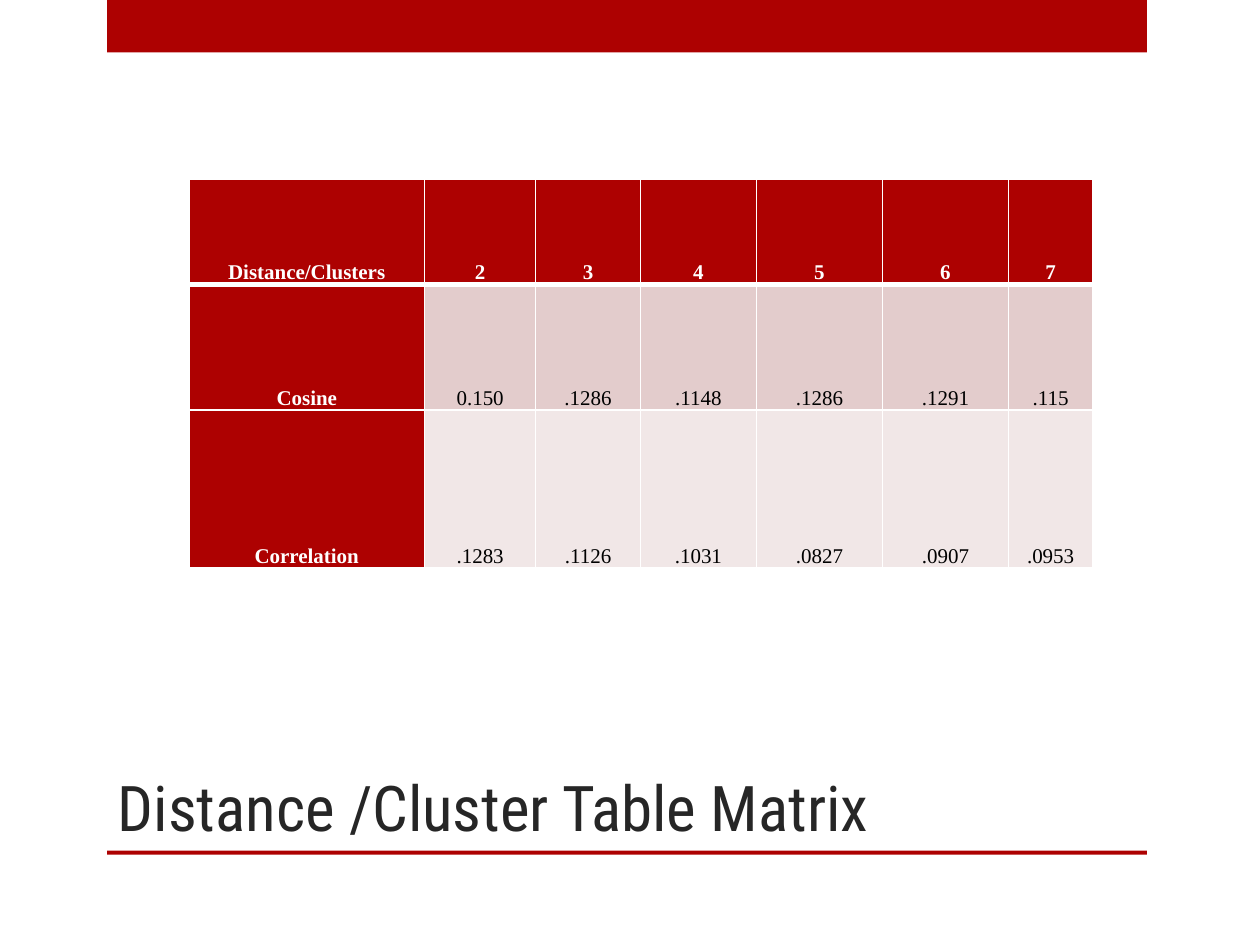
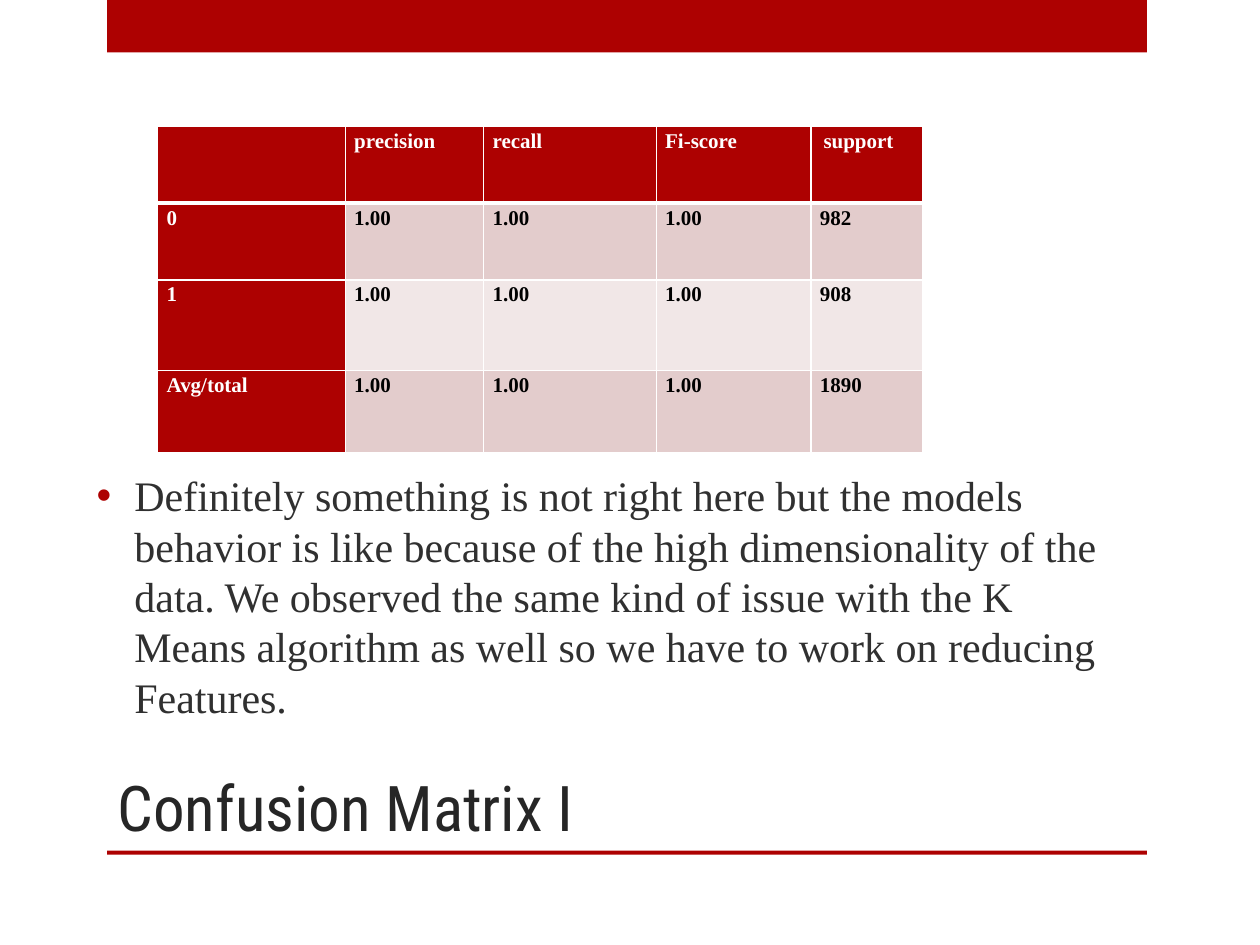
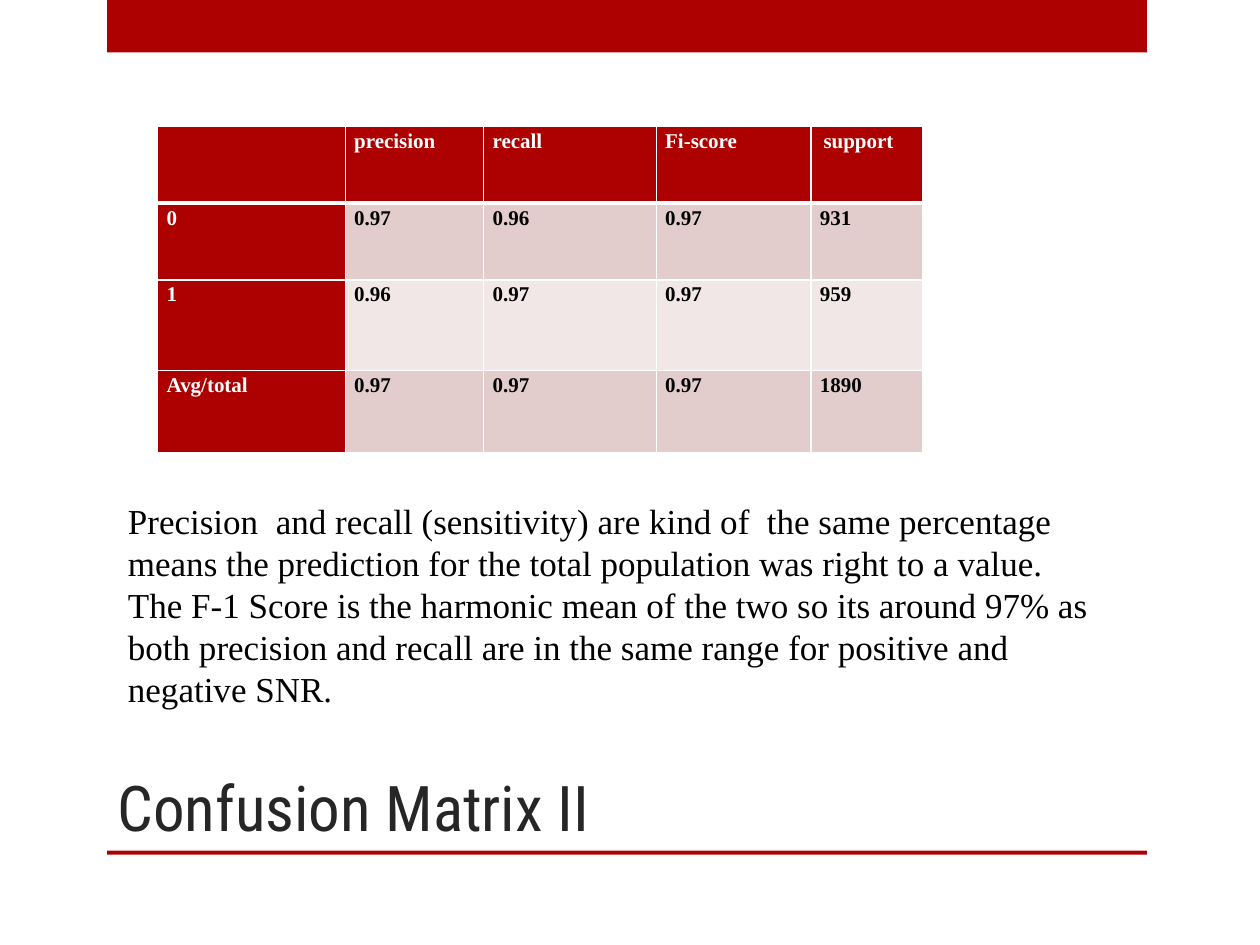
"""Builds three slides on cluster distances and confusion matrices."""
from lxml.etree import SubElement
from pptx import Presentation
from pptx.dml.color import RGBColor
from pptx.enum.shapes import MSO_SHAPE
from pptx.enum.text import MSO_ANCHOR as ANCHOR, MSO_AUTO_SIZE as AUTO, PP_ALIGN as ALIGN
from pptx.oxml import parse_xml
from pptx.oxml.ns import nsdecls, qn
from pptx.util import Cm, Pt

RED = RGBColor(0xAD, 0x01, 0x01)
PINK = RGBColor(0xE3, 0xCC, 0xCC)
PALE = RGBColor(0xF1, 0xE7, 0xE7)
WHITE = RGBColor(0xFF, 0xFF, 0xFF)
BLACK = RGBColor(0x00, 0x00, 0x00)
TITLE_GREY = RGBColor(0x26, 0x26, 0x26)
BODY_GREY = RGBColor(0x30, 0x30, 0x30)
TITLE_FONT = "Roboto Condensed"
BODY_FONT = "Times New Roman"

SCORE_HEADER = ["", "precision", "recall", "Fi-score", [(" ", 8), ("support", 12)]]
SCORE_COLS = [3.78, 2.79, 3.48, 3.12, 2.26]
SCORE_ROWS = [1.55, 1.55, 1.83, 1.65]


class Deck:
    def __init__(self):
        self.prs = Presentation()
        self.prs.slide_width, self.prs.slide_height = Cm(25.4), Cm(19.05)
        self.s = None

    def slide(self, title):
        self.s = self.prs.slides.add_slide(self.prs.slide_layouts[5])
        self.band(0, 1.06)
        self.band(17.15, 0.08)
        sp = self.s.shapes.title
        sp.left, sp.top, sp.width, sp.height = Cm(2.12), Cm(12.7), Cm(18.85), Cm(4.45)
        tf = sp.text_frame
        tf.auto_size, tf.vertical_anchor = AUTO.NONE, ANCHOR.BOTTOM
        p = tf.paragraphs[0]
        p.alignment = ALIGN.LEFT
        self.run(p, title, 36, TITLE_GREY, font=TITLE_FONT)

    def band(self, top, height):
        sp = self.s.shapes.add_shape(MSO_SHAPE.RECTANGLE, Cm(2.16), Cm(top), Cm(20.96), Cm(height))
        sp.shadow.inherit = False
        sp.fill.solid()
        sp.fill.fore_color.rgb = RED
        sp.line.fill.background()

    def run(self, p, text, size, color, bold=False, font=BODY_FONT):
        r = p.add_run()
        r.text = text
        r.font.name, r.font.size, r.font.bold = font, Pt(size), bold
        r.font.color.rgb = color

    def text(self, box, paragraphs, size, color, anchor=ANCHOR.TOP, bullet=False):
        tf = self.s.shapes.add_textbox(*map(Cm, box)).text_frame
        tf.word_wrap, tf.vertical_anchor = True, anchor
        for i, words in enumerate(paragraphs):
            p = tf.add_paragraph() if i else tf.paragraphs[0]
            if bullet:
                self.bullet(p, size)
            self.run(p, words, size, color)

    def bullet(self, p, size):
        p.space_before = Pt(0.2 * size)
        pPr = p._p.get_or_add_pPr()
        pPr.set("marL", str(Cm(0.76)))
        pPr.set("indent", str(-Cm(0.76)))
        color = SubElement(pPr, qn("a:buClr"))
        SubElement(color, qn("a:srgbClr"), val=str(RED))
        SubElement(pPr, qn("a:buFont"), typeface="Arial")
        SubElement(pPr, qn("a:buChar"), char="•")

    def table(self, left, top, cols, rows, data, bold=False, anchor=ANCHOR.TOP, align=ALIGN.LEFT, after=0):
        frame = self.s.shapes.add_table(
            len(rows), len(cols), Cm(left), Cm(top), Cm(sum(cols)), Cm(sum(rows)))
        tbl = frame.table
        for col, width in zip(tbl.columns, cols):
            col.width = Cm(width)
        for i, (row, height) in enumerate(zip(tbl.rows, rows)):
            row.height = Cm(height)
            for j, (cell, value) in enumerate(zip(row.cells, data[i])):
                head = i == 0 or j == 0
                cell.fill.solid()
                cell.fill.fore_color.rgb = RED if head else (PALE, PINK)[i % 2]
                cell.vertical_anchor = anchor
                cell.margin_left = cell.margin_right = Cm(0.18)
                cell.margin_top = cell.margin_bottom = 0
                self.borders(cell, i)
                p = cell.text_frame.paragraphs[0]
                p.alignment, p.line_spacing, p.space_after = align, 1.15, Pt(after)
                runs = [(value, 12)] if isinstance(value, str) else value
                for words, size in runs:
                    if words:
                        self.run(p, words, size, WHITE if head else BLACK, head or bold)

    def borders(self, cell, row):
        tcPr = cell._tc.get_or_add_tcPr()
        widths = {"L": 1, "R": 1, "T": 3 if row == 1 else 1, "B": 3 if row == 0 else 1}
        for k, (side, width) in enumerate(widths.items()):
            tcPr.insert(k, parse_xml(
                f'<a:ln{side} {nsdecls("a")} w="{Pt(width)}"><a:solidFill>'
                f'<a:srgbClr val="{WHITE}"/></a:solidFill></a:ln{side}>'))

    def scores(self, body):
        self.table(3.18, 2.54, SCORE_COLS, SCORE_ROWS, [SCORE_HEADER] + body, bold=True)


def main():
    deck = Deck()

    deck.slide("Distance /Cluster Table Matrix")
    deck.table(3.81, 3.61, [4.75, 2.24, 2.11, 2.34, 2.54, 2.54, 1.7], [2.12, 2.54, 3.18], [
        ["Distance/Clusters", "2", "3", "4", "5", "6", "7"],
        ["Cosine", "0.150", ".1286", ".1148", ".1286", ".1291", ".115"],
        ["Correlation", ".1283", ".1126", ".1031", ".0827", ".0907", ".0953"],
    ], anchor=ANCHOR.BOTTOM, align=ALIGN.CENTER, after=12)

    deck.slide("Confusion Matrix I")
    deck.scores([
        ["0", "1.00", "1.00", "1.00", "982"],
        ["1", "1.00", "1.00", "1.00", "908"],
        ["Avg/total", "1.00", "1.00", "1.00", "1890"],
    ])
    deck.text((1.7, 9.32, 20.96, 5.38), [
        "Definitely something is not right here but the models behavior is like because of the high "
        "dimensionality of the data. We observed the same kind of issue with the K Means algorithm "
        "as well so we have to work on reducing Features.",
    ], 24, BODY_GREY, ANCHOR.MIDDLE, bullet=True)

    deck.slide("Confusion Matrix II")
    deck.scores([
        ["0", "0.97", "0.96", "0.97", "931"],
        ["1", "0.96", "0.97", "0.97", "959"],
        ["Avg/total", "0.97", "0.97", "0.97", "1890"],
    ])
    deck.text((2.33, 9.95, 20.75, 4.52), [
        "Precision  and recall (sensitivity) are kind of  the same percentage means the prediction "
        "for the total population was right to a value.",
        "The F-1 Score is the harmonic mean of the two so its around 97% as both precision and "
        "recall are in the same range for positive and negative SNR.",
    ], 20, BLACK)

    deck.prs.save("out.pptx")


if __name__ == "__main__":
    main()
